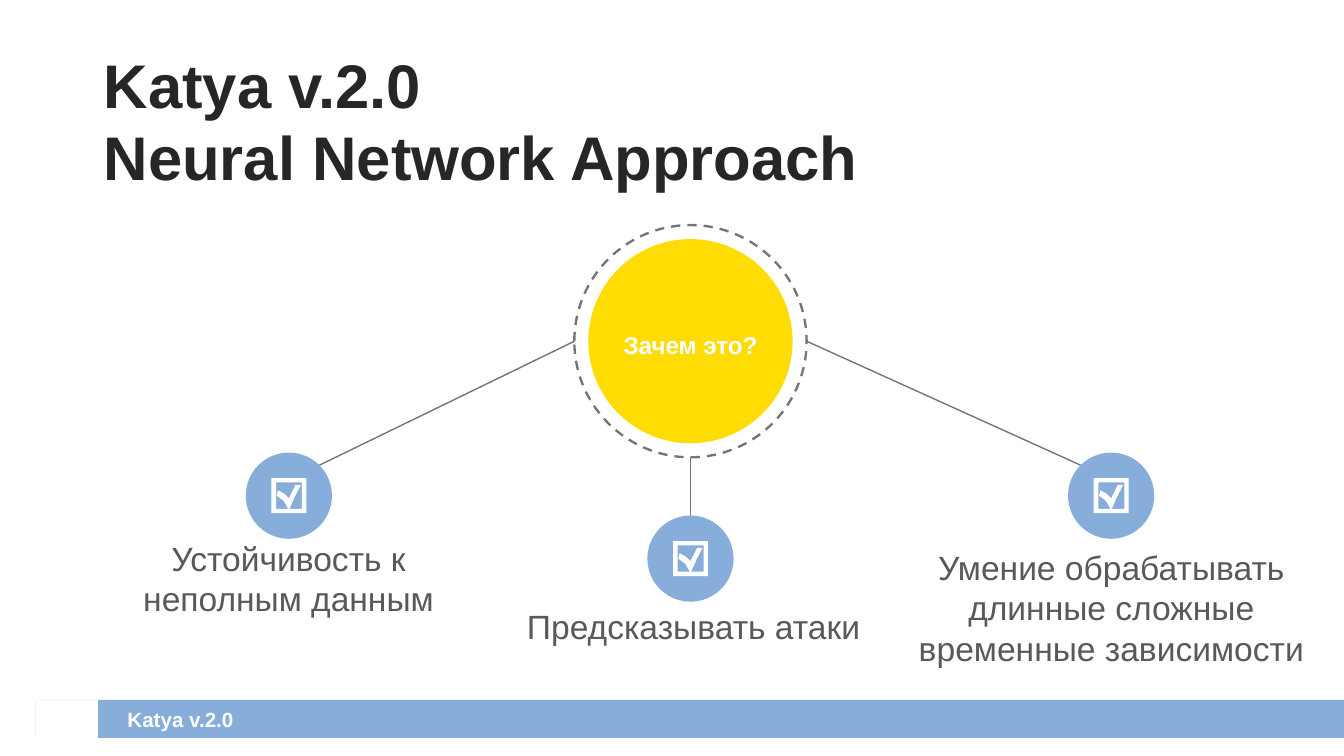
from math import cos, radians, sin

from lxml import etree
from pptx import Presentation
from pptx.dml.color import RGBColor
from pptx.enum.dml import MSO_LINE
from pptx.enum.shapes import MSO_CONNECTOR, MSO_SHAPE
from pptx.enum.text import MSO_ANCHOR, MSO_AUTO_SIZE, PP_ALIGN
from pptx.oxml.ns import qn
from pptx.util import Cm, Pt

OVAL, RECT = MSO_SHAPE.OVAL, MSO_SHAPE.RECTANGLE
STRAIGHT, DASH = MSO_CONNECTOR.STRAIGHT, MSO_LINE.DASH
LEFT, CENTER = PP_ALIGN.LEFT, PP_ALIGN.CENTER
TOP, MIDDLE = MSO_ANCHOR.TOP, MSO_ANCHOR.MIDDLE
NO_AUTOFIT = MSO_AUTO_SIZE.NONE

BLUE, YELLOW, WHITE = "87ADDB", "FEDC04", "FFFFFF"
DARK, GRAY, LINE_GRAY = "262626", "595959", "737474"

# Checkbox outline around its centre, in thousandths of an inch
BOX_FRAME = [(-130, -130), (130, -130), (130, 130), (-130, 130)]
BOX_INSIDE = [(-95, -98), (-95, 98), (-5, 98), (-38, 39), (-90, 0), (-80, -40),
              (-33, -14), (0, 20), (25, -30), (50, -80), (90, -80), (45, 6),
              (5, 98), (98, 98), (98, -98)]


def color(hex_code):
    return RGBColor.from_string(hex_code)


def rim_point(center, diameter, angle):
    """Point on a circle; angles run clockwise from the right."""
    x, y = center
    turn = radians(angle)
    return x + diameter / 2 * cos(turn), y + diameter / 2 * sin(turn)


class SlideBuilder:
    font = "Arial"

    def __init__(self, slide):
        self.slide = slide
        self.shapes = slide.shapes

    def set_text(self, holder, text, size, hex_code, bold=False, align=LEFT,
                 anchor=TOP, spacing=None, inset=0.18):
        frame = holder.text_frame
        frame.text = text
        frame.word_wrap = True
        frame.auto_size = NO_AUTOFIT
        frame.vertical_anchor = anchor
        frame.margin_left = frame.margin_right = Cm(inset)
        frame.margin_top = frame.margin_bottom = Cm(0.1)
        for paragraph in frame.paragraphs:
            paragraph.alignment = align
            paragraph.line_spacing = spacing
            for run in paragraph.runs:
                run.font.name = self.font
                run.font.size = Pt(size)
                run.font.bold = bold
                run.font.color.rgb = color(hex_code)

    def title(self, text, area, size):
        holder = self.shapes.title
        holder.left, holder.top, holder.width, holder.height = map(Cm, area)
        self.set_text(holder, text, size, DARK, True, anchor=MIDDLE, spacing=0.97)

    def text(self, text, area, size, hex_code, **style):
        self.set_text(self.shapes.add_textbox(*map(Cm, area)), text, size, hex_code, **style)

    def paint(self, shape, fill):
        shape.shadow.inherit = False
        shape.line.fill.background()
        if fill:
            shape.fill.solid()
            shape.fill.fore_color.rgb = color(fill)
        else:
            shape.fill.background()

    def rectangle(self, area, fill):
        self.paint(self.shapes.add_shape(RECT, *map(Cm, area)), fill)

    def circle(self, center, diameter, fill=None, outline=None):
        x, y = (value - diameter / 2 for value in center)
        circle = self.shapes.add_shape(OVAL, Cm(x), Cm(y), Cm(diameter), Cm(diameter))
        self.paint(circle, fill)
        if outline:
            circle.line.color.rgb = color(outline)
            circle.line.width = Pt(1.25)
            circle.line.dash_style = DASH

    def connector(self, start, end):
        line = self.shapes.add_connector(STRAIGHT, *map(Cm, start + end))
        line.line.color.rgb = color(LINE_GRAY)
        line.line.width = Pt(0.75)
        properties = line._element.find(qn("p:spPr"))
        etree.SubElement(properties, qn("a:effectLst"))

    def checkbox(self, center):
        outline = self.shapes.build_freeform(*BOX_FRAME[0], scale=Cm(2.54) / 1000)
        outline.add_line_segments(BOX_FRAME[1:])
        outline.move_to(*BOX_INSIDE[0])
        outline.add_line_segments(BOX_INSIDE[1:])
        self.paint(outline.convert_to_shape(*map(Cm, center)), WHITE)


def main():
    deck = Presentation()
    deck.slide_width, deck.slide_height = Cm(25.4), Cm(14.29)
    page = SlideBuilder(deck.slides.add_slide(deck.slide_layouts[5]))

    # Footer bar with a plain block in the logo's place
    page.rectangle((0.68, 13.23, 24.72, 0.72), BLUE)
    page.rectangle((0.68, 13.23, 1.17, 0.72), WHITE)
    page.text("Katya v.2.0", (2.18, 13.26, 4.09, 0.64), 11, WHITE, bold=True, inset=0.23)

    page.title("Katya v.2.0\nNeural Network Approach", (1.78, 0.81, 17.15, 3.02), 33)

    # Central question
    hub, ring_size = (13.05, 6.45), 4.39
    page.circle(hub, 3.86, fill=YELLOW)
    page.circle(hub, ring_size, outline=LINE_GRAY)
    page.text("Зачем это?", (11.4, 6.15, 3.3, 0.66), 13, WHITE, bold=True, align=CENTER)

    # Reasons: caption, its area and alignment, badge centre, angles at badge and ring
    badge_size = 1.63
    reasons = [
        ("Устойчивость к неполным данным", (1.85, 10.06, 7.21, 1.93), CENTER,
         (5.46, 9.37), -45, 180),
        ("Предсказывать атаки", (9.78, 11.35, 7.04, 0.81), LEFT,
         (13.05, 10.56), -90, 90),
        ("Умение обрабатывать длинные сложные временные зависимости",
         (16.61, 10.24, 8.79, 1.09), CENTER, (21, 9.37), -135, 0),
    ]
    for caption, area, align, badge, badge_angle, ring_angle in reasons:
        page.connector(rim_point(badge, badge_size, badge_angle),
                       rim_point(hub, ring_size, ring_angle))
        page.circle(badge, badge_size, fill=BLUE)
        page.checkbox(badge)
        page.text(caption, area, 18, GRAY, align=align)

    deck.save("out.pptx")


if __name__ == "__main__":
    main()
